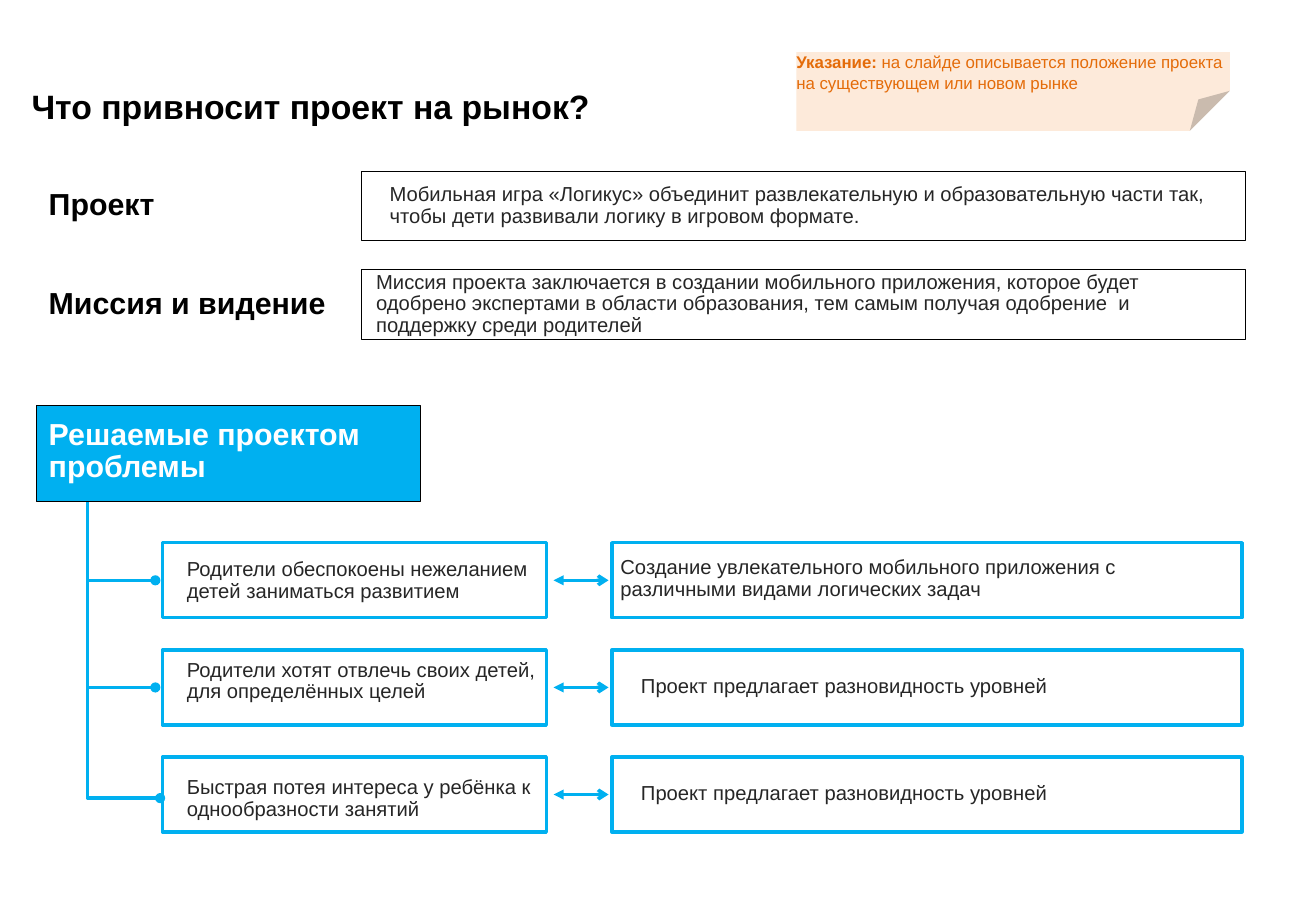
from lxml import etree
from pptx import Presentation
from pptx import util as u
from pptx.dml.color import RGBColor
from pptx.enum import shapes, text
from pptx.oxml.ns import qn

BLACK = RGBColor(0x00, 0x00, 0x00)
WHITE = RGBColor(0xFF, 0xFF, 0xFF)
GRAPHITE = RGBColor(0x26, 0x26, 0x26)
SKY = RGBColor(0x00, 0xB0, 0xF0)
PEACH = RGBColor(0xFD, 0xEA, 0xDA)
ORANGE = RGBColor(0xE4, 0x6C, 0x0A)


class MarketSlide:
    font = "Arial"
    thin, thick = 0.5, 2

    def __init__(self, deck):
        self.shapes = deck.slides.add_slide(deck.slide_layouts[6]).shapes

    def paint(self, shape, fill=None, line=None, width=thick):
        shape.shadow.inherit = False
        if fill is None:
            shape.fill.background()
        else:
            shape.fill.solid()
            shape.fill.fore_color.rgb = fill
        if line is None:
            shape.line.fill.background()
        else:
            shape.line.color.rgb = line
            shape.line.width = u.Pt(width)

    def frame(self, left, top, width, height, fill=None, line=SKY, weight=thick):
        box = self.shapes.add_shape(shapes.MSO_SHAPE.RECTANGLE, u.Cm(left), u.Cm(top),
                                    u.Cm(width), u.Cm(height))
        self.paint(box, fill, line, weight)

    def outline(self, points, closed=True, fill=None, line=None, alpha=None):
        corners = [(u.Cm(x), u.Cm(y)) for x, y in points]
        builder = self.shapes.build_freeform(*corners[0])
        builder.add_line_segments(corners[1:], close=closed)
        figure = builder.convert_to_shape()
        self.paint(figure, fill, line)
        if alpha:
            color = figure._element.spPr.find(qn("a:solidFill"))[0]
            etree.SubElement(color, qn("a:alpha"), val=str(alpha * 1000))
        return figure

    def arrowheads(self, shape, head=None, tail=None):
        line = shape.line._get_or_add_ln()
        for end, kind in (("a:headEnd", head), ("a:tailEnd", tail)):
            if kind:
                etree.SubElement(line, qn(end), type=kind)

    def connector(self, start, end, y, head=None, tail=None):
        link = self.shapes.add_connector(shapes.MSO_CONNECTOR.STRAIGHT, u.Cm(start), u.Cm(y),
                                         u.Cm(end), u.Cm(y))
        link.line.color.rgb = SKY
        link.line.width = u.Pt(self.thick)
        self.arrowheads(link, head, tail)
        etree.SubElement(link._element.spPr, qn("a:effectLst"))

    def label(self, wording, left, top, width, height, size=12, color=GRAPHITE, bold=False,
              inset=0.0, spacing=0.9, anchor=text.MSO_ANCHOR.MIDDLE):
        box = self.shapes.add_textbox(u.Cm(left), u.Cm(top), u.Cm(width), u.Cm(height))
        body = box.text_frame
        body.word_wrap = True
        body.vertical_anchor = anchor
        body.margin_left = body.margin_right = u.Cm(inset)
        body.margin_top = body.margin_bottom = u.Cm(inset)
        body.text = wording
        for paragraph in body.paragraphs:
            paragraph.line_spacing = spacing
            for run in paragraph.runs:
                self.style(run, size, color, bold)
        return body.paragraphs[0]

    def style(self, run, size, color, bold):
        run.font.name = self.font
        run.font.size = u.Pt(size)
        run.font.color.rgb = color
        run.font.bold = bold


def draw_note(slide):
    left, top, right, bottom, fold = 16.66, 1.09, 25.73, 2.74, 0.84
    fold_start, fold_end = (right, bottom - fold), (right - fold, bottom)
    slide.outline([(left, top), (right, top), fold_start, fold_end, (left, bottom)], fill=PEACH)
    slide.outline([fold_end, (right - 0.66, bottom - 0.66), fold_start], fill=BLACK, alpha=20)
    hint = slide.label("Указание: ", left, top, right - left, fold, 10, ORANGE, True,
                       spacing=1.0, anchor=text.MSO_ANCHOR.TOP)
    explanation = hint.add_run()
    explanation.text = "на слайде описывается положение проекта на существующем или новом рынке"
    slide.style(explanation, 10, ORANGE, False)


def draw_summary(slide):
    project = ("Мобильная игра «Логикус» объединит развлекательную и образовательную части так,\n"
               "чтобы дети развивали логику в игровом формате.")
    mission = ("Миссия проекта заключается в создании мобильного приложения, которое будет "
               "одобрено экспертами в области образования, тем самым получая одобрение  и "
               "поддержку среди родителей")
    rows = [("Проект", project, 3.58, 8.15, 18.0), ("Миссия и видение", mission, 5.64, 7.87, 17.53)]
    for heading, summary, top, left, width in rows:
        slide.frame(7.57, top, 18.49, 1.45, line=BLACK, weight=slide.thin)
        slide.label(heading, 1.02, top + 0.38, 6.81, 0.69, 18, BLACK, True)
        slide.label(summary, left, top + 0.04, width, 1.37)


def draw_problems(slide):
    trunk = slide.outline([(1.83, 10.44), (1.83, 16.69), (3.35, 16.69)], closed=False, line=SKY)
    slide.arrowheads(trunk, tail="oval")
    slide.frame(0.76, 8.48, 8.03, 2.01, SKY, BLACK, slide.thin)
    slide.label("Решаемые проектом проблемы", 1.02, 8.76, 8.36, 1.37, 18, WHITE, True)

    levels = "Проект предлагает разновидность уровней"
    pairs = [
        ("Родители обеспокоены нежеланием детей заниматься развитием", 11.58,
         "Создание увлекательного мобильного приложения с различными видами логических задач", 12.88),
        ("Родители хотят отвлечь своих детей, для определённых целей", 13.69, levels, 13.31),
        ("Быстрая потея интереса у ребёнка к однообразности занятий", 16.15, levels, 13.31),
    ]
    height = 1.57
    for row, (problem, problem_top, solution, solution_left) in enumerate(pairs):
        top = 11.35 + 2.24 * row
        middle = top + height / 2
        slide.frame(3.4, top, 8.03, height)
        slide.label(problem, 3.81, problem_top, 7.72, 1.12, inset=0.1)
        slide.frame(12.8, top, 13.18, height)
        slide.label(solution, solution_left, middle - 0.58, 13.11, 1.12, inset=0.1)
        slide.connector(11.58, 12.73, middle, head="triangle", tail="arrow")
        if row < len(pairs) - 1:
            slide.connector(1.8, 3.25, middle, tail="oval")


def main():
    deck = Presentation()
    deck.slide_width, deck.slide_height = u.Cm(27.53), u.Cm(19.05)
    slide = MarketSlide(deck)
    title = slide.label("Что привносит проект на рынок?", 0.66, 1.5, 26.24, 1.45, 20, BLACK, True,
                        spacing=1.0)
    title.space_before = u.Pt(4)
    draw_note(slide)
    draw_summary(slide)
    draw_problems(slide)
    deck.save("out.pptx")


if __name__ == "__main__":
    main()
